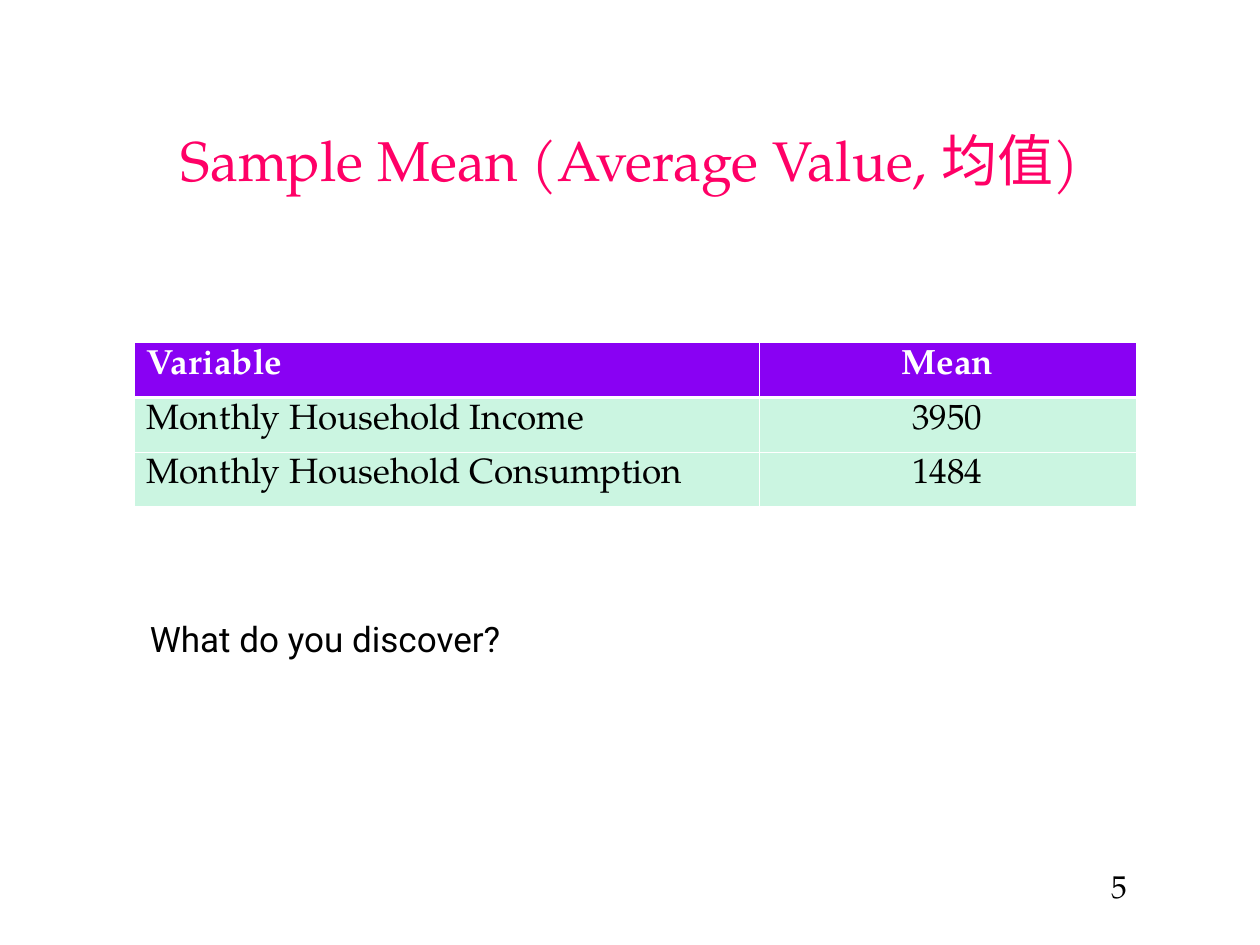
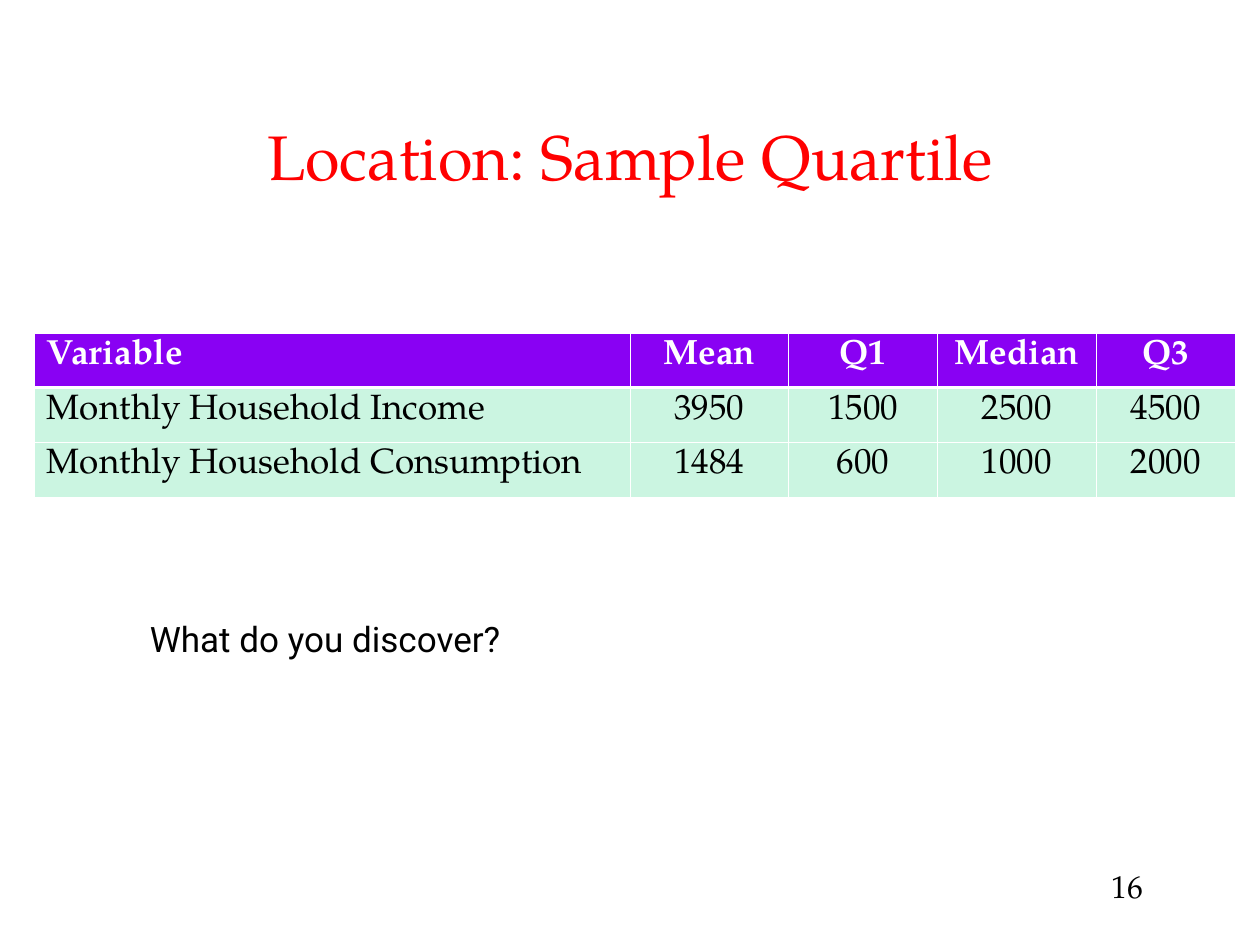
from dataclasses import dataclass

from lxml.etree import SubElement
from pptx import Presentation
from pptx.dml.color import RGBColor
from pptx.enum.text import MSO_ANCHOR as Anchor, PP_ALIGN as Align
from pptx.oxml.ns import qn
from pptx.slide import Slide
from pptx.table import _Cell as Cell
from pptx.text.text import _Paragraph as Paragraph
from pptx.util import Cm, Pt

# Shared style
COLORS = {
    "text": "000000",
    "white": "FFFFFF",
    "pink": "FF0066",
    "red": "FF0000",
    "header": "8901F3",
    "body": "CBF5E1",
}
SERIF, SANS = "TeX Gyre Pagella", "Roboto"
ROW_HEIGHT = 1.1
THIN, THICK = 0.45, 1.47


@dataclass(frozen=True)
class TextStyle:
    font: str
    size: float
    color: str
    bold: bool = False
    align: Align = Align.LEFT


@dataclass(frozen=True)
class Box:
    left: float
    top: float
    width: float
    height: float


@dataclass(frozen=True)
class StatisticsSlide:
    title: str
    title_size: float
    title_color: str
    number: int
    table_left: float
    table_top: float
    column_widths: list[float]
    rows: list[list[str]]


TITLE_BOX = Box(1.9, 1.75, 21.6, 2.26)
QUESTION_BOX = Box(2.77, 12.32, 10.41, 1.12)
NUMBER_BOX = Box(22.16, 17.35, 3.2, 1.17)

SLIDES = [
    StatisticsSlide(
        "Sample Mean (Average Value, 均值)", 32, "pink", 5,
        2.7, 6.91, [12.6, 7.6],
        [["Variable", "Mean"],
         ["Monthly Household Income", "3950"],
         ["Monthly Household Consumption", "1484"]],
    ),
    StatisticsSlide(
        "Location: Sample Quartile", 36, "red", 16,
        0.69, 6.71, [12.01, 3.2, 3, 3.2, 2.8],
        [["Variable", "Mean", "Q1", "Median", "Q3"],
         ["Monthly Household Income", "3950", "1500", "2500", "4500"],
         ["Monthly Household Consumption", "1484", "600", "1000", "2000"]],
    ),
]


def rgb(name: str) -> RGBColor:
    return RGBColor.from_string(COLORS[name])


def write(paragraph: Paragraph, text: str, style: TextStyle) -> None:
    paragraph.text = text
    paragraph.alignment = style.align
    font = paragraph.font
    font.name, font.size, font.bold = style.font, Pt(style.size), style.bold
    font.color.rgb = rgb(style.color)


def add_text(slide: Slide, box: Box, text: str, style: TextStyle,
             anchor: Anchor = Anchor.TOP) -> None:
    shape = slide.shapes.add_textbox(
        Cm(box.left), Cm(box.top), Cm(box.width), Cm(box.height))
    frame = shape.text_frame
    frame.word_wrap = True
    frame.vertical_anchor = anchor
    write(frame.paragraphs[0], text, style)


def add_borders(cell: Cell, top: float, bottom: float) -> None:
    properties = cell._tc.get_or_add_tcPr()
    for side, width in (("L", THIN), ("R", THIN), ("T", top), ("B", bottom)):
        line = SubElement(properties, qn(f"a:ln{side}"), w=str(Pt(width)))
        fill = SubElement(line, qn("a:solidFill"))
        SubElement(fill, qn("a:srgbClr"), val=COLORS["white"])


def add_statistics_table(slide: Slide, content: StatisticsSlide) -> None:
    rows, widths = content.rows, content.column_widths
    table = slide.shapes.add_table(
        len(rows), len(widths), Cm(content.table_left), Cm(content.table_top),
        Cm(sum(widths)), Cm(ROW_HEIGHT * len(rows))).table
    for column, width in zip(table.columns, widths):
        column.width = Cm(width)
    for row_index, values in enumerate(rows):
        table.rows[row_index].height = Cm(ROW_HEIGHT)
        header = row_index == 0
        for column_index, value in enumerate(values):
            cell = table.cell(row_index, column_index)
            # The thick rule runs between the header and the first data row
            add_borders(cell, THICK if row_index == 1 else THIN,
                        THICK if header else THIN)
            cell.fill.solid()
            cell.fill.fore_color.rgb = rgb("header" if header else "body")
            align = Align.CENTER if column_index else Align.LEFT
            write(cell.text_frame.paragraphs[0], value, TextStyle(
                SERIF, 20, "white" if header else "text", header, align))


def add_statistics_slide(presentation: Presentation,
                         content: StatisticsSlide) -> None:
    slide = presentation.slides.add_slide(presentation.slide_layouts[6])
    add_text(slide, NUMBER_BOX, str(content.number),
             TextStyle(SERIF, 18, "text"))
    add_text(slide, TITLE_BOX, content.title,
             TextStyle(SERIF, content.title_size, content.title_color,
                       align=Align.CENTER), Anchor.BOTTOM)
    add_statistics_table(slide, content)
    add_text(slide, QUESTION_BOX, "What do you discover?",
             TextStyle(SANS, 20, "text"))


def main() -> None:
    presentation = Presentation()
    presentation.slide_width, presentation.slide_height = Cm(25.4), Cm(19.05)
    for content in SLIDES:
        add_statistics_slide(presentation, content)
    presentation.save("out.pptx")


if __name__ == "__main__":
    main()
